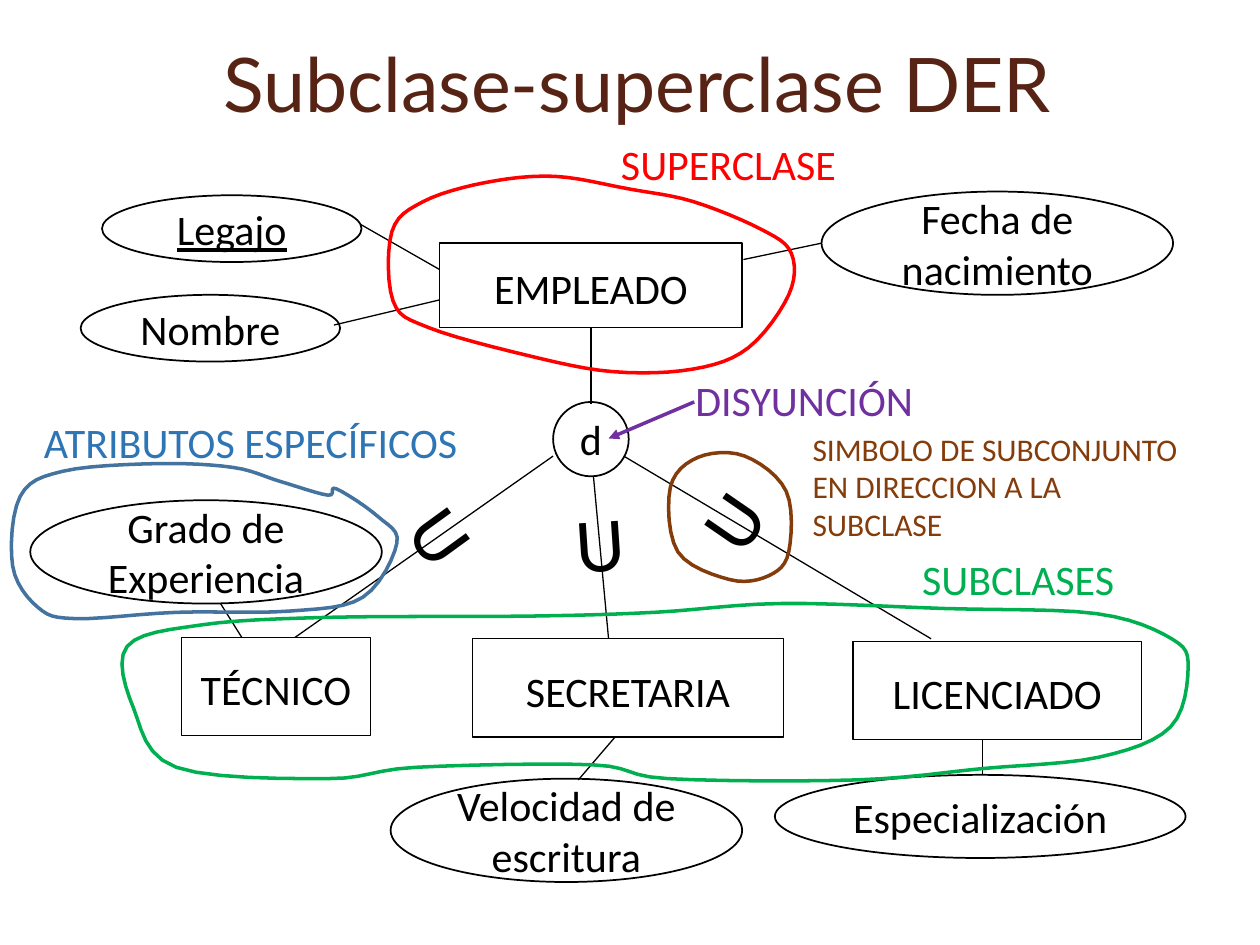
from lxml.etree import SubElement
from pptx import Presentation
from pptx.dml.color import RGBColor
from pptx.enum.shapes import MSO_CONNECTOR, MSO_SHAPE
from pptx.enum.text import MSO_ANCHOR, PP_ALIGN
from pptx.oxml.ns import qn
from pptx.util import Inches, Pt

COLORS = {
    "title": "572314", "black": "000000", "white": "FFFFFF",
    "superclass": "FF0000", "subclasses": "00B050",
    "attributes": "2E75B6", "attributes_outline": "43739E",
    "subset": "843C0B", "disjoint": "7030A0",
}


def write(shape, text, size=24, color="black", font="Calibri", align=PP_ALIGN.CENTER,
          anchor=MSO_ANCHOR.MIDDLE, wrap=True, underline=None, bottom=0.05):
    """Fill a shape with one formatted paragraph."""
    frame = shape.text_frame
    frame.word_wrap = wrap
    frame.vertical_anchor = anchor
    frame.margin_bottom = Inches(bottom)
    paragraph = frame.paragraphs[0]
    paragraph.alignment = align
    run = paragraph.add_run()
    run.text = text
    run.font.name = font
    run.font.size = Pt(size)
    run.font.underline = underline
    run.font.color.rgb = RGBColor.from_string(COLORS[color])


def add_line(start, end, color="black", width=0.75):
    line = shapes.add_connector(MSO_CONNECTOR.STRAIGHT, *map(Inches, start + end))
    line.line.color.rgb = RGBColor.from_string(COLORS[color])
    line.line.width = Pt(width)
    SubElement(line._element.spPr, qn("a:effectLst"))
    return line


presentation = Presentation()
presentation.slide_width = Inches(10)
presentation.slide_height = Inches(7.5)
slide = presentation.slides.add_slide(presentation.slide_layouts[5])
shapes = slide.shapes

title = shapes.title
title.left, title.top, title.width, title.height = map(Inches, (0.35, 0.03, 9.42, 1.25))
write(title, "Subclase-superclase DER", size=43, color="title", font="Lato")

# Links between entities, attributes and the disjunction circle
links = [
    ((4.39, 3.62), (2.34, 5.06)), ((4.95, 3.62), (7.39, 5.07)),
    ((4.71, 3.78), (4.83, 5.07)), ((4.69, 2.6), (4.69, 3.21)),
    ((5.9, 2.06), (6.52, 1.93)), ((2.65, 2.58), (3.49, 2.38)),
    ((2.86, 1.78), (3.49, 2.14)), ((1.92, 5.06), (1.75, 4.79)),
    ((4.59, 6.19), (4.89, 5.84)), ((7.8, 6.15), (7.8, 5.87)),
]
for start, end in links:
    add_line(start, end)

entities = [
    ("EMPLEADO", 3.49, 1.93, 2.4, 0.67),
    ("TÉCNICO", 1.44, 5.06, 1.5, 0.78),
    ("SECRETARIA", 3.75, 5.07, 2.47, 0.78),
    ("LICENCIADO", 6.77, 5.09, 2.29, 0.78),
]
for name, *box in entities:
    entity = shapes.add_shape(MSO_SHAPE.RECTANGLE, *map(Inches, box))
    entity.shadow.inherit = False
    entity.fill.solid()
    entity.fill.fore_color.rgb = RGBColor.from_string(COLORS["white"])
    entity.line.color.rgb = RGBColor.from_string(COLORS["black"])
    entity.line.width = Pt(0.75)
    write(entity, name, wrap=False, bottom=0.01)

ovals = [
    ("Legajo", 0.81, 1.55, 2.06, 0.53),
    ("Nombre", 0.64, 2.34, 2.06, 0.53),
    ("Fecha de nacimiento", 6.52, 1.52, 2.79, 0.82),
    ("Grado de Experiencia", 0.24, 3.97, 2.79, 0.82),
    ("Velocidad de escritura", 3.1, 6.18, 2.79, 0.82),
    ("Especialización", 6.15, 6.15, 3.26, 0.66),
    ("d", 4.39, 3.19, 0.6, 0.59),
]
for name, *box in ovals:
    oval = shapes.add_shape(MSO_SHAPE.OVAL, *map(Inches, box))
    oval.shadow.inherit = False
    oval.fill.background()
    oval.line.color.rgb = RGBColor.from_string(COLORS["black"])
    oval.line.width = Pt(1)
    write(oval, name, underline=True if name == "Legajo" else None)

# Subset symbols, each turned towards its subclass
for left, top, rotation in [(4.47, 3.88, 356.2), (5.51, 3.7, 304.5), (3.22, 3.83, 54)]:
    symbol = shapes.add_textbox(*map(Inches, (left, top, 0.6, 0.84)))
    symbol.rotation = rotation
    write(symbol, "U", size=44, align=PP_ALIGN.LEFT, anchor=MSO_ANCHOR.TOP, wrap=False)

# Hand-drawn outlines around the parts that the labels explain
outlines = {
    "superclass": [
        (4.4, 1.4), (3.85, 1.45), (3.36, 1.6), (3.11, 1.84), (3.12, 2.39), (3.4, 2.6),
        (4.18, 2.82), (4.86, 2.95), (5.5, 2.93), (5.94, 2.76), (6.26, 2.34),
        (6.28, 2.01), (6.04, 1.82), (5.5, 1.6), (4.99, 1.5),
    ],
    "subclasses": [
        (1.01, 5.13), (1.6, 4.96), (2.6, 4.9), (4.2, 4.89), (5.2, 4.86), (6.2, 4.79),
        (7.5, 4.83), (8.7, 4.87), (9.3, 5.07), (9.43, 5.3), (9.29, 5.77), (8.72, 6.01),
        (7.8, 6.1), (6.8, 6.19), (5.3, 6.18), (4.7, 6.07), (3.3, 6.09), (2.6, 6.18),
        (1.4, 6.09), (1.06, 5.62),
    ],
    "attributes_outline": [
        (2.6, 3.93), (2.22, 3.82), (1.85, 3.71), (1.24, 3.68), (0.5, 3.74), (0.16, 3.94),
        (0.1, 4.49), (0.3, 4.82), (0.6, 4.91), (1.4, 4.86), (2.3, 4.85), (2.88, 4.74),
        (3.15, 4.31), (3, 4.1), (2.67, 3.88),
    ],
    "subset": [
        (5.91, 3.62), (5.54, 3.63), (5.32, 3.87), (5.38, 4.38), (5.79, 4.6),
        (6.1, 4.57), (6.26, 4.38), (6.24, 3.9),
    ],
}
STEPS = 6
for color, points in outlines.items():
    curve = []
    for index in range(len(points)):
        # Catmull-Rom spline between the two middle points of each four
        corners = [points[(index + offset) % len(points)] for offset in range(4)]
        for step in range(STEPS):
            t = step / STEPS
            curve.append([
                Inches(b + t / 2 * (c - a + t * (2 * a - 5 * b + 4 * c - d
                                                 + t * (3 * (b - c) + d - a))))
                for a, b, c, d in zip(*corners)
            ])
    builder = shapes.build_freeform(*curve[0])
    builder.add_line_segments(curve[1:], close=True)
    outline = builder.convert_to_shape()
    outline.shadow.inherit = False
    outline.fill.background()
    outline.line.color.rgb = RGBColor.from_string(COLORS[color])
    outline.line.width = Pt(2)

arrow = add_line((5.51, 3.19), (4.83, 3.48), color="disjoint", width=2)
SubElement(arrow.line._get_or_add_ln(), qn("a:tailEnd"), type="triangle")

labels = [
    ("SUPERCLASE", "superclass", 24, True, 4.83, 1.05, 2.19, 0.5),
    ("SUBCLASES", "subclasses", 24, False, 7.22, 4.34, 1.74, 0.5),
    ("ATRIBUTOS ESPECÍFICOS", "attributes", 24, False, 0.25, 3.26, 3.51, 0.5),
    ("SIMBOLO DE SUBCONJUNTO EN DIRECCION A LA SUBCLASE", "subset", 18, True,
     6.35, 3.36, 3.25, 1.01),
    ("DISYUNCIÓN", "disjoint", 24, False, 5.42, 2.92, 1.94, 0.5),
]
for text, color, size, wrap, *box in labels:
    label = shapes.add_textbox(*map(Inches, box))
    write(label, text, size=size, color=color, align=PP_ALIGN.LEFT,
          anchor=MSO_ANCHOR.TOP, wrap=wrap)

presentation.save("out.pptx")
